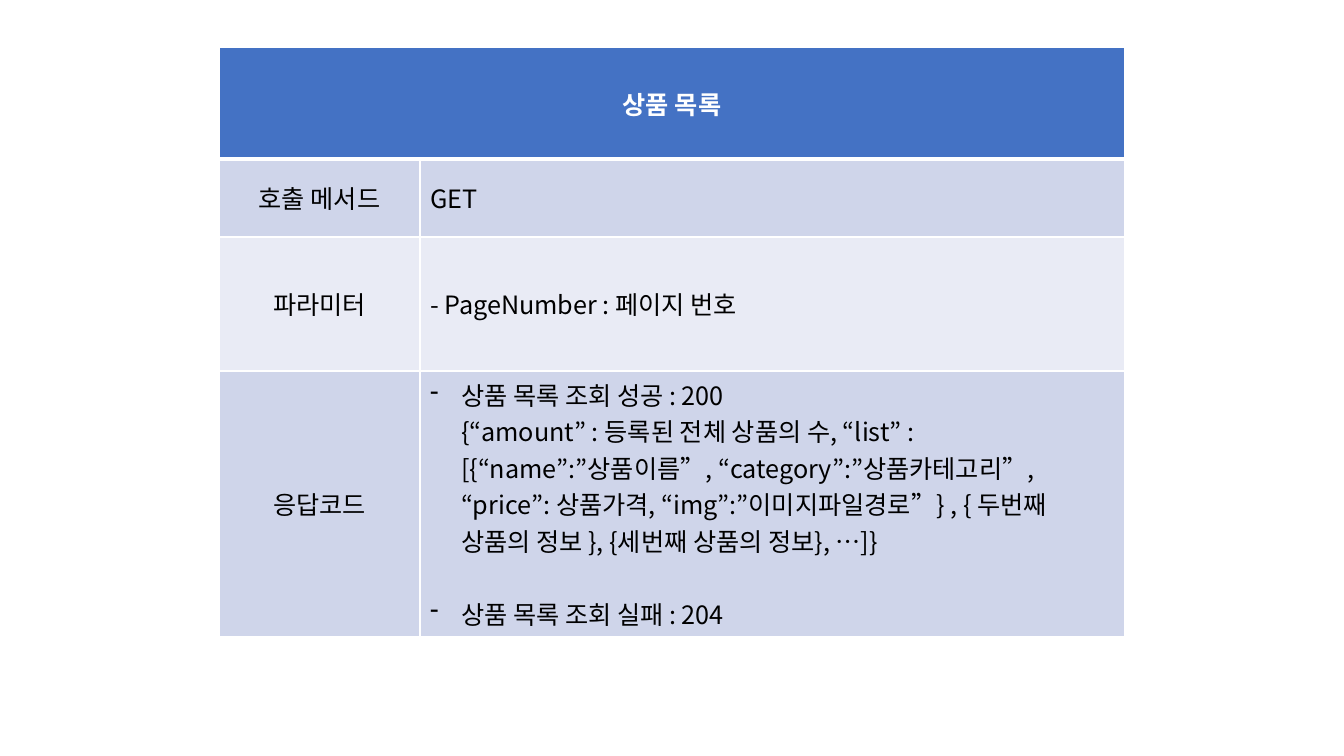
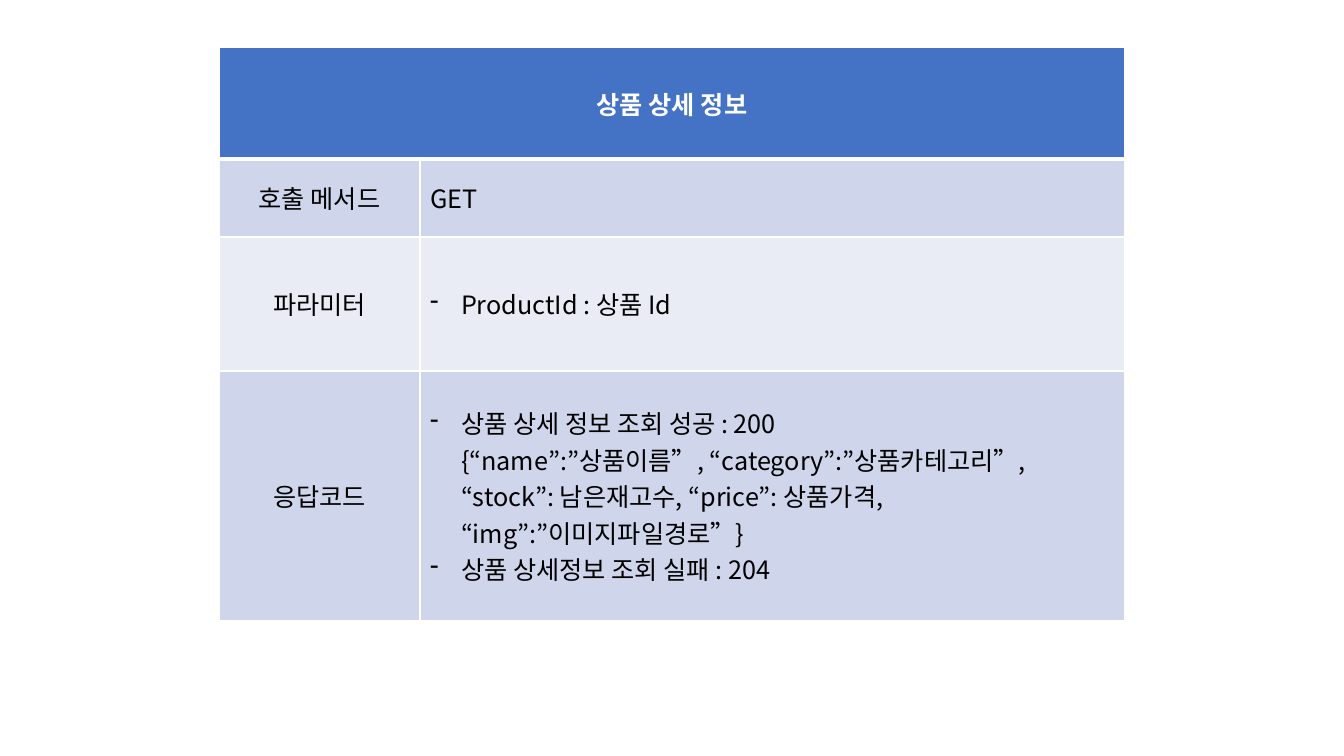
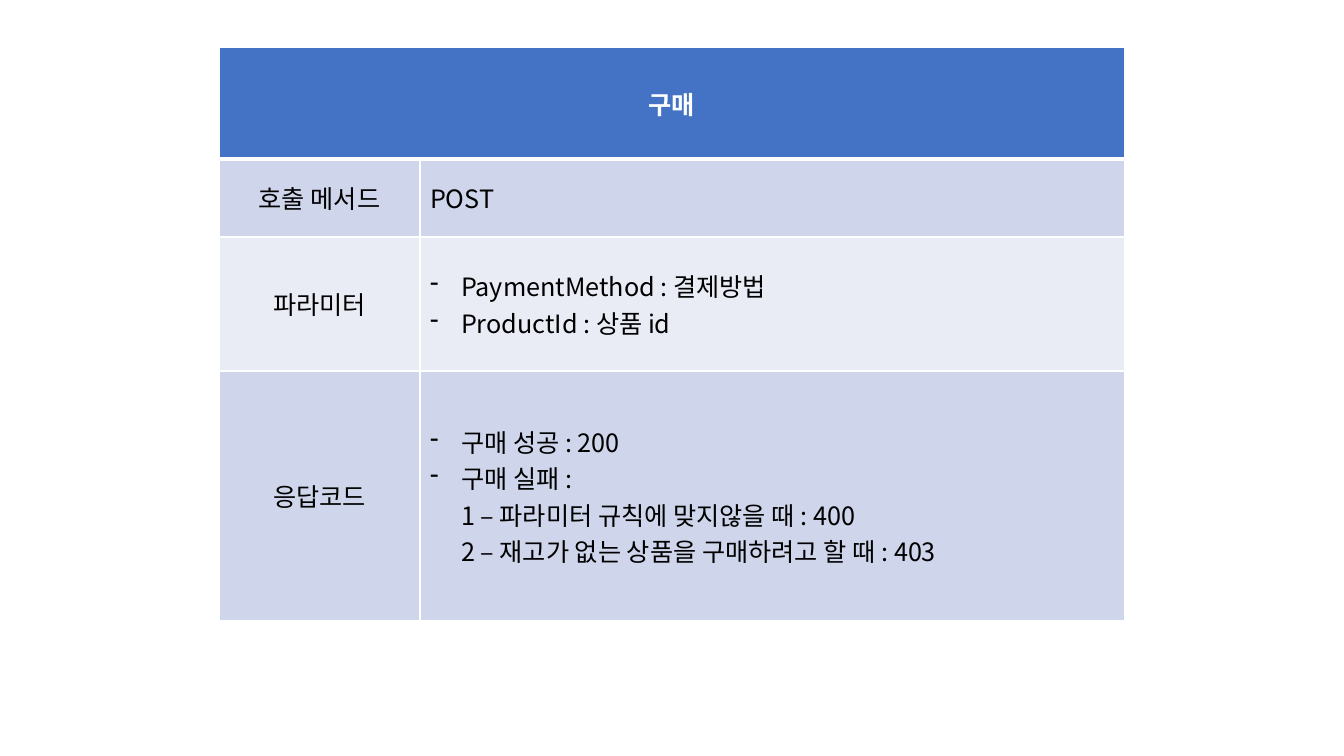
import dataclasses
import lxml.etree
import pptx
import pptx.dml.color
import pptx.enum.text
import pptx.oxml.ns
import pptx.presentation
import pptx.table
import pptx.util

SCALE = 914400 / 100.8
WIDE, HIGH = 1344, 756
LEFT, TOP = 219, 47
COLS = (201, 705)
ROWS = (112, 78, 134, 250)
INDENT = 31
FACE = "Noto Sans CJK KR"
LABELS = ("호출 메서드", "파라미터", "응답코드")

WHITE = pptx.dml.color.RGBColor(0xFF, 0xFF, 0xFF)
BLACK = pptx.dml.color.RGBColor(0x00, 0x00, 0x00)
BLUE = pptx.dml.color.RGBColor(0x44, 0x72, 0xC4)
DARK = pptx.dml.color.RGBColor(0xCF, 0xD5, 0xEA)
LIGHT = pptx.dml.color.RGBColor(0xE9, 0xEB, 0xF5)

CENTER = pptx.enum.text.PP_ALIGN.CENTER
START = pptx.enum.text.PP_ALIGN.LEFT
FORMAT = {"name": FACE, "size": pptx.util.Pt(18)}


@dataclasses.dataclass(frozen=True)
class Line:
    text: str
    dash: bool = True
    after: int = 0


@dataclasses.dataclass(frozen=True)
class Call:
    title: str
    method: str
    params: tuple[Line, ...]
    codes: tuple[Line, ...]


@dataclasses.dataclass(frozen=True)
class Look:
    fill: pptx.dml.color.RGBColor
    ink: pptx.dml.color.RGBColor = BLACK
    bold: bool = False
    align: pptx.enum.text.PP_ALIGN = START
    above: int = 1
    below: int = 1


CALLS = (
    Call(
        "상품 목록", "GET",
        (Line("- PageNumber : 페이지 번호", dash=False),),
        (
            Line(
                "상품 목록 조회 성공 : 200\n"
                "{“amount” : 등록된 전체 상품의 수, “list” : "
                "[{“name”:”상품이름”, “category”:”상품카테고리”, "
                "“price”: 상품가격, “img”:”이미지파일경로”} , "
                "{ 두번째 상품의 정보 }, {세번째 상품의 정보}, …]}",
                after=26,
            ),
            Line("상품 목록 조회 실패 : 204"),
        ),
    ),
    Call(
        "상품 상세 정보", "GET",
        (Line("ProductId : 상품 Id"),),
        (
            Line(
                "상품 상세 정보 조회 성공 : 200\n"
                "{“name”:”상품이름”, “category”:”상품카테고리”,\n"
                "“stock”: 남은재고수, “price”: 상품가격,\n"
                "“img”:”이미지파일경로”}"
            ),
            Line("상품 상세정보 조회 실패 : 204"),
        ),
    ),
    Call(
        "구매", "POST",
        (Line("PaymentMethod : 결제방법"), Line("ProductId : 상품 id")),
        (
            Line("구매 성공 : 200"),
            Line(
                "구매 실패 :\n"
                "1 – 파라미터 규칙에 맞지않을 때 : 400\n"
                "2 – 재고가 없는 상품을 구매하려고 할 때 : 403"
            ),
        ),
    ),
)


def emu(pixels: int) -> int:
    return round(pixels * SCALE)


def node(parent, tag: str, **values: str):
    return lxml.etree.SubElement(parent, pptx.oxml.ns.qn(tag), **values)


def edge(cell: pptx.table._Cell, look: Look) -> None:
    props = cell._tc.get_or_add_tcPr()
    sides = {"L": 1, "R": 1, "T": look.above, "B": look.below}
    for side, weight in sides.items():
        line = node(props, f"a:ln{side}", w=str(pptx.util.Pt(weight)))
        node(node(line, "a:solidFill"), "a:srgbClr", val=str(WHITE))


def write(cell: pptx.table._Cell, lines: tuple[Line, ...], look: Look) -> None:
    frame = cell.text_frame
    for index, line in enumerate(lines):
        para = frame.add_paragraph() if index else frame.paragraphs[0]
        para.text = line.text
        para.alignment = look.align
        if line.after:
            para.space_after = pptx.util.Pt(line.after)
        if line.dash:
            props = para._p.get_or_add_pPr()
            props.set("marL", str(emu(INDENT)))
            props.set("indent", str(-emu(INDENT)))
            node(props, "a:buChar", char="-")
        for run in para.runs:
            for key, value in {**FORMAT, "bold": look.bold}.items():
                setattr(run.font, key, value)
            run.font.color.rgb = look.ink
            node(run._r.get_or_add_rPr(), "a:ea", typeface=FACE)


def paint(cell: pptx.table._Cell, look: Look) -> None:
    edge(cell, look)
    cell.fill.solid()
    cell.fill.fore_color.rgb = look.fill
    cell.vertical_anchor = pptx.enum.text.MSO_ANCHOR.MIDDLE


def draw(deck: pptx.presentation.Presentation, call: Call) -> None:
    slide = deck.slides.add_slide(deck.slide_layouts[6])
    box = map(emu, (LEFT, TOP, sum(COLS), sum(ROWS)))
    table = slide.shapes.add_table(len(ROWS), len(COLS), *box).table
    table.first_row = table.horz_banding = False
    for column, width in zip(table.columns, COLS):
        column.width = emu(width)
    for row, height in zip(table.rows, ROWS):
        row.height = emu(height)

    head = Look(BLUE, WHITE, True, CENTER, below=3)
    table.cell(0, 0).merge(table.cell(0, 1))
    for column in range(len(COLS)):
        paint(table.cell(0, column), head)
    write(table.cell(0, 0), (Line(call.title, dash=False),), head)

    bodies = ((Line(call.method, dash=False),), call.params, call.codes)
    for row, (label, body) in enumerate(zip(LABELS, bodies), 1):
        value = Look(DARK if row % 2 else LIGHT, above=3 if row == 1 else 1)
        name = dataclasses.replace(value, align=CENTER)
        pairs = (((Line(label, dash=False),), name), (body, value))
        for column, (lines, look) in enumerate(pairs):
            paint(table.cell(row, column), look)
            write(table.cell(row, column), lines, look)


def main() -> None:
    deck = pptx.Presentation()
    deck.slide_width, deck.slide_height = emu(WIDE), emu(HIGH)
    for call in CALLS:
        draw(deck, call)
    deck.save("out.pptx")


main()
